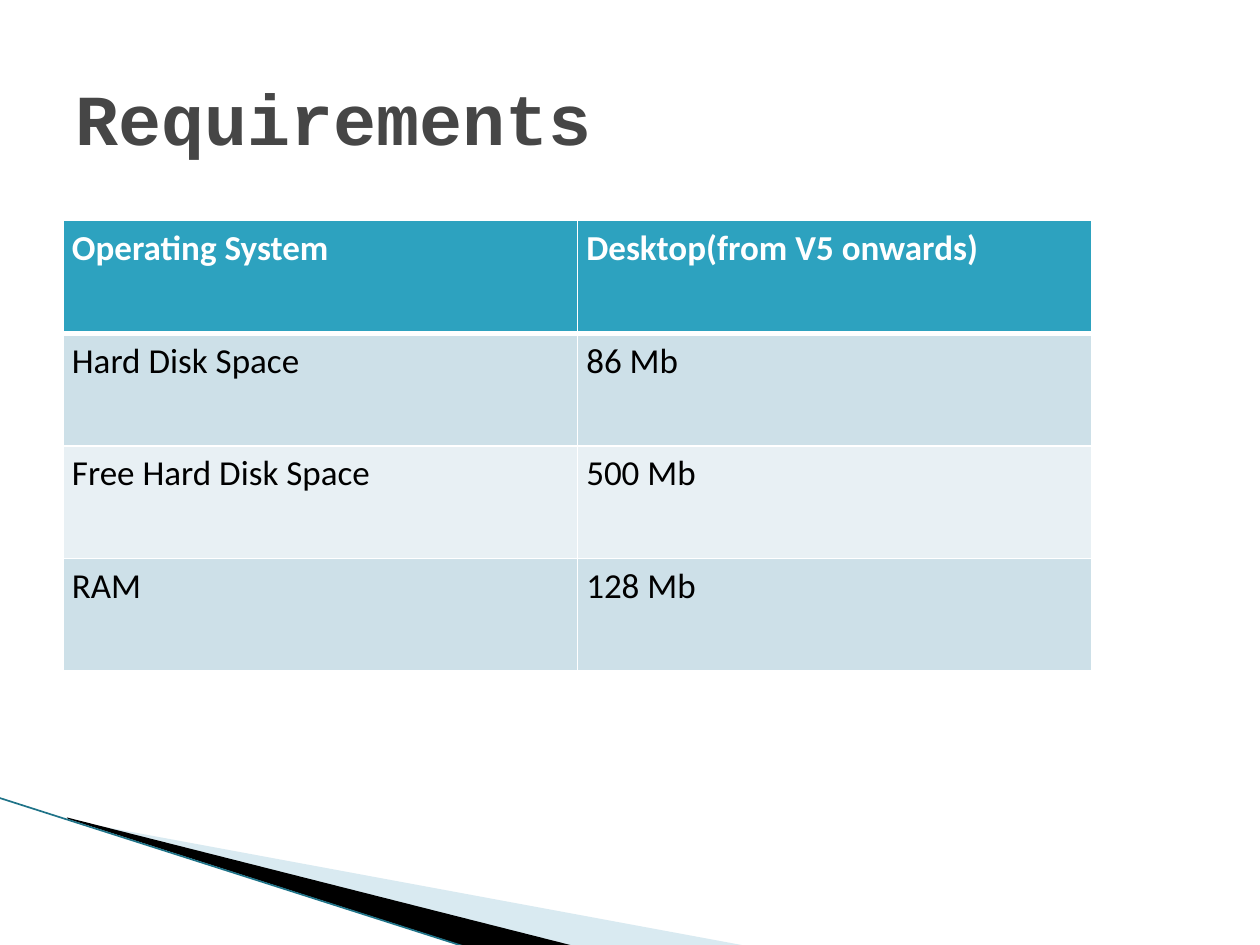
import pptx
import pptx.util
import pptx.dml.color
import pptx.enum.shapes
import pptx.enum.text
import pptx.oxml.ns
from lxml import etree
from pptx.util import Cm, Pt

HUES = {
    "title": "464646", "head": "2DA2BF", "odd": "CDE0E8", "even": "E8F0F4",
    "white": "FFFFFF", "black": "000000", "pale": "A0CBDC", "edge": "1F7388",
}
TITLE = "Requirements"
ROWS = [
    ("Operating System", "Desktop(from V5 onwards)"),
    ("Hard Disk Space", "86 Mb"),
    ("Free Hard Disk Space", "500 Mb"),
    ("RAM", "128 Mb"),
]
WEDGES = [
    ("pale", 40, [(1.4, 16.54), (15.11, 19.08), (11.58, 19.08), (1.4, 16.51)]),
    ("black", 100, [(1.35, 16.48), (11.61, 19.08), (9.45, 19.1), (1.37, 16.51)]),
]
EDGE = (-0.03, 16.08, 9.42, 19.1)
GRID = {"left": 1.27, "top": 4.45, "col": 10.37, "row": 2.27}


def rgb(name):
    return pptx.dml.color.RGBColor.from_string(HUES[name])


def add_tag(node, tag, **attrs):
    return etree.SubElement(node, pptx.oxml.ns.qn(tag), attrs)


def put_text(frame, text, font="Calibri", size=20, hue="black", bold=False, gap=1.0):
    frame.word_wrap = True
    para = frame.paragraphs[0]
    para.line_spacing = gap
    run = para.add_run()
    run.text = text
    run.font.name = font
    run.font.size = Pt(size)
    run.font.bold = bold
    run.font.color.rgb = rgb(hue)


def add_wedge(slide, hue, alpha, points):
    spots = [(Cm(x), Cm(y)) for x, y in points]
    pen = slide.shapes.build_freeform(*spots[0])
    pen.add_line_segments(spots[1:], close=True)
    wedge = pen.convert_to_shape()
    wedge.shadow.inherit = False
    wedge.fill.solid()
    wedge.fill.fore_color.rgb = rgb(hue)
    wedge.line.fill.background()
    if alpha < 100:
        tint = wedge.fill._xPr.find(".//" + pptx.oxml.ns.qn("a:srgbClr"))
        add_tag(tint, "a:alpha", val=str(alpha * 1000))


def add_edge(slide):
    kind = pptx.enum.shapes.MSO_CONNECTOR.STRAIGHT
    edge = slide.shapes.add_connector(kind, *map(Cm, EDGE))
    edge.line.color.rgb = rgb("edge")
    edge.line.width = Pt(0.95)
    add_tag(edge._element.spPr, "a:effectLst")


def set_cell(cell, text, row):
    head = row == 0
    put_text(cell.text_frame, text, hue="white" if head else "black", bold=head, gap=1.15)
    cell.margin_left = cell.margin_right = Cm(0.18)
    cell.margin_top = cell.margin_bottom = 0
    props = cell._tc.get_or_add_tcPr()
    for side in "LRTB":
        thick = (head and side == "B") or (row == 1 and side == "T")
        rule = add_tag(props, "a:ln" + side, w=str(Pt(3 if thick else 1)))
        add_tag(add_tag(rule, "a:solidFill"), "a:srgbClr", val=HUES["white"])
    cell.fill.solid()
    cell.fill.fore_color.rgb = rgb("head" if head else "odd" if row % 2 else "even")


def add_grid(slide):
    count, wide = len(ROWS), len(ROWS[0])
    table = slide.shapes.add_table(
        count, wide, Cm(GRID["left"]), Cm(GRID["top"]),
        Cm(GRID["col"] * wide), Cm(GRID["row"] * count)).table
    for row, texts in enumerate(ROWS):
        for col, text in enumerate(texts):
            set_cell(table.cell(row, col), text, row)


def main():
    deck = pptx.Presentation()
    deck.slide_width, deck.slide_height = Cm(25.4), Cm(19.05)
    slide = deck.slides.add_slide(deck.slide_layouts[6])
    for wedge in WEDGES:
        add_wedge(slide, *wedge)
    add_edge(slide)
    add_grid(slide)
    box = slide.shapes.add_textbox(Cm(1.27), Cm(0.76), Cm(22.86), Cm(3.18))
    box.text_frame.vertical_anchor = pptx.enum.text.MSO_ANCHOR.MIDDLE
    put_text(box.text_frame, TITLE, font="Courier New", size=41, hue="title", bold=True)
    deck.save("out.pptx")


if __name__ == "__main__":
    main()
